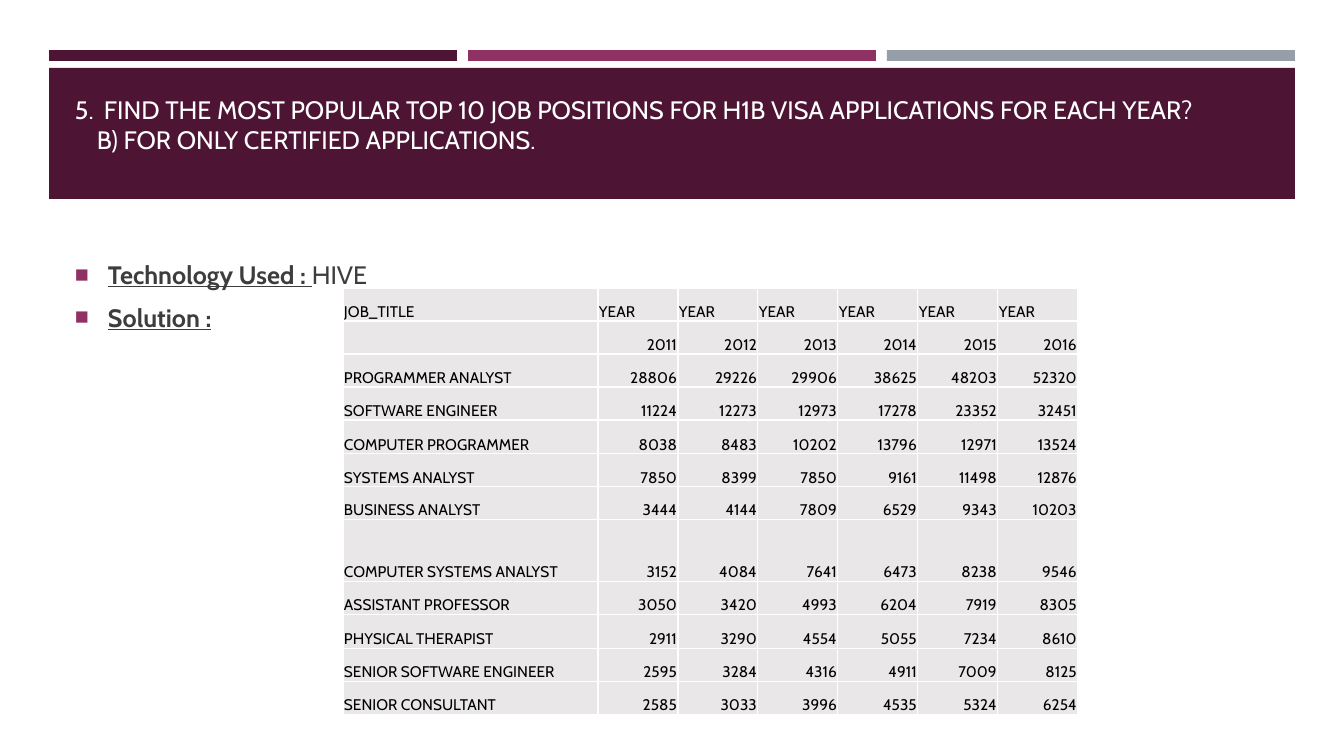
from lxml.etree import SubElement
from pptx import Presentation
from pptx.dml.color import RGBColor
from pptx.enum.shapes import MSO_SHAPE
from pptx.enum.text import MSO_ANCHOR, PP_ALIGN
from pptx.oxml.ns import qn
from pptx.util import Emu, Pt

TITLE_LINES = [
    "5.\tFIND THE MOST POPULAR TOP 10 JOB POSITIONS FOR H1B VISA APPLICATIONS FOR EACH YEAR?",
    "B) FOR ONLY CERTIFIED APPLICATIONS.",
]
BULLETS = [("Technology Used : ", "HIVE"), ("Solution :", "")]
YEARS = [2011, 2012, 2013, 2014, 2015, 2016]
JOBS = [
    ("PROGRAMMER ANALYST", 28806, 29226, 29906, 38625, 48203, 52320),
    ("SOFTWARE ENGINEER", 11224, 12273, 12973, 17278, 23352, 32451),
    ("COMPUTER PROGRAMMER", 8038, 8483, 10202, 13796, 12971, 13524),
    ("SYSTEMS ANALYST", 7850, 8399, 7850, 9161, 11498, 12876),
    ("BUSINESS ANALYST", 3444, 4144, 7809, 6529, 9343, 10203),
    ("COMPUTER SYSTEMS ANALYST", 3152, 4084, 7641, 6473, 8238, 9546),
    ("ASSISTANT PROFESSOR", 3050, 3420, 4993, 6204, 7919, 8305),
    ("PHYSICAL THERAPIST", 2911, 3290, 4554, 5055, 7234, 8610),
    ("SENIOR SOFTWARE ENGINEER", 2595, 3284, 4316, 4911, 7009, 8125),
    ("SENIOR CONSULTANT", 2585, 3033, 3996, 4535, 5324, 6254),
]
ROWS = [("JOB_TITLE", *["YEAR"] * len(YEARS)), ("", *YEARS), *JOBS]
ROW_HEIGHTS = [33, 33, 33, 33, 34, 33, 33, 62, 33, 34, 33, 33]
COL_WIDTHS = [255] + [80] * len(YEARS)

FONT = "Cabin"
PLUM = RGBColor(0x4D, 0x14, 0x34)
MAGENTA = RGBColor(0x90, 0x31, 0x63)
GRAY = RGBColor(0x96, 0x9F, 0xA7)
INK = RGBColor(0x3D, 0x3D, 0x3D)
CELL = RGBColor(0xE9, 0xE7, 0xE8)
BLACK = RGBColor(0, 0, 0)
WHITE = RGBColor(0xFF, 0xFF, 0xFF)


def px(n):
    return Emu(round(n * 914400 / 100.8))


def add_bar(x, y, w, h, color):
    sp = s.shapes.add_shape(MSO_SHAPE.RECTANGLE, px(x), px(y), px(w), px(h))
    sp.shadow.inherit = False
    sp.fill.solid()
    sp.fill.fore_color.rgb = color
    sp.line.fill.background()


def add_box(x, y, w, h):
    tf = s.shapes.add_textbox(px(x), px(y), px(w), px(h)).text_frame
    tf.word_wrap = True
    tf.margin_left = tf.margin_right = tf.margin_top = tf.margin_bottom = 0
    return tf


def add_run(p, text, size, color, strong=False):
    r = p.add_run()
    r.text = text
    r.font.name = FONT
    r.font.size = Pt(size)
    r.font.color.rgb = color
    r.font.bold = r.font.underline = strong


def paragraph(tf, i):
    return tf.add_paragraph() if i else tf.paragraphs[0]


def add_borders(cell):
    tcPr = cell._tc.get_or_add_tcPr()
    for side in ("lnL", "lnR", "lnT", "lnB"):
        ln = SubElement(tcPr, qn(f"a:{side}"), w=str(Pt(1)))
        fill = SubElement(ln, qn("a:solidFill"))
        SubElement(fill, qn("a:srgbClr"), val=str(WHITE))


prs = Presentation()
prs.slide_width, prs.slide_height = px(1344), px(756)
s = prs.slides.add_slide(prs.slide_layouts[6])

for i, color in enumerate((PLUM, MAGENTA, GRAY)):
    add_bar(49 + i * 419, 50, 408, 11, color)
add_bar(49, 68, 1246, 131, PLUM)

tf = add_box(75, 94, 1200, 92)
for i, line in enumerate(TITLE_LINES):
    p = paragraph(tf, i)
    pPr = p._p.get_or_add_pPr()
    if "\t" in line:
        tabs = SubElement(pPr, qn("a:tabLst"))
        SubElement(tabs, qn("a:tab"), pos=str(px(29)), algn="l")
    else:
        pPr.set("marL", str(px(22)))
    add_run(p, line, 18, WHITE)

tf = add_box(75, 259, 1200, 80)
for i, (label, value) in enumerate(BULLETS):
    p = paragraph(tf, i)
    if i:
        p.space_before = Pt(9)
    pPr = p._p.get_or_add_pPr()
    pPr.set("marL", str(px(33)))
    pPr.set("indent", str(-px(33)))
    SubElement(SubElement(pPr, qn("a:buClr")), qn("a:srgbClr"), val=str(MAGENTA))
    SubElement(pPr, qn("a:buSzPct"), val="92000")
    SubElement(pPr, qn("a:buFont"), typeface="Arial")
    SubElement(pPr, qn("a:buChar"), char="■")
    add_run(p, label, 18, INK, strong=True)
    if value:
        add_run(p, value, 18, INK)

table = s.shapes.add_table(
    len(ROWS), len(COL_WIDTHS), px(343), px(288), px(sum(COL_WIDTHS)), px(sum(ROW_HEIGHTS))
).table
table.first_row = table.horz_banding = False
for col, width in zip(table.columns, COL_WIDTHS):
    col.width = px(width)
for row, height, values in zip(table.rows, ROW_HEIGHTS, ROWS):
    row.height = px(height)
    for cell, value in zip(row.cells, values):
        add_borders(cell)
        cell.fill.solid()
        cell.fill.fore_color.rgb = CELL
        cell.vertical_anchor = MSO_ANCHOR.BOTTOM
        cell.margin_left = cell.margin_right = cell.margin_top = px(1)
        cell.margin_bottom = 0
        p = cell.text_frame.paragraphs[0]
        p.alignment = PP_ALIGN.RIGHT if isinstance(value, int) else PP_ALIGN.LEFT
        add_run(p, str(value), 11, BLACK)

prs.save("out.pptx")
